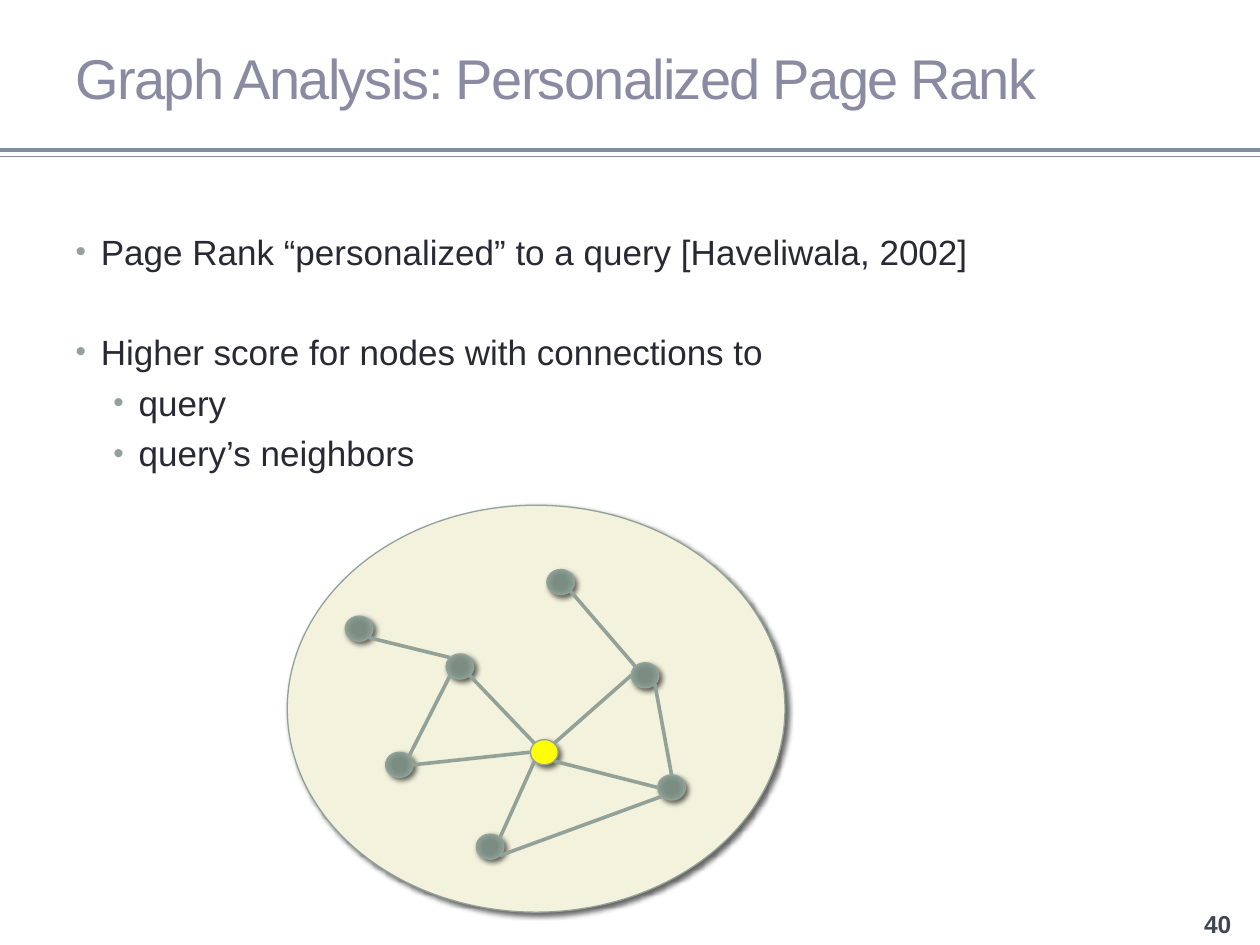
from math import cos, radians, sin

from lxml.etree import SubElement
from pptx import Presentation
from pptx.dml.color import RGBColor
from pptx.enum.shapes import MSO_CONNECTOR as Line, MSO_SHAPE as Shape
from pptx.enum.text import MSO_ANCHOR as Anchor, MSO_AUTO_SIZE as Fit, PP_ALIGN as Align
from pptx.oxml import parse_xml
from pptx.oxml.ns import nsdecls, qn
from pptx.util import Inches, Pt

RULE = RGBColor(0x80, 0x8D, 0xA0)
TITLE = RGBColor(0x8A, 0x8A, 0xA3)
INK = RGBColor(0x29, 0x29, 0x34)
SAGE = RGBColor(0x93, 0xA2, 0x99)
CREAM = RGBColor(0xF3, 0xF2, 0xDC)
YELLOW = RGBColor(0xFF, 0xFF, 0x00)
NUMBER = RGBColor(0x3E, 0x46, 0x52)
SHADES = [(0, "7B8E82"), (34, "7B8D83"), (70, "8A9E92"), (100, "93A299")]

NODE_W, NODE_H = 0.22, 0.2
# Clockwise angles of the joints on a node's rim
RIM = {"E": 0, "SE": 45, "S": 90, "SW": 135, "W": 180, "NW": 225, "N": 270, "NE": 315}


def write(para, text, size=20, color=INK, bold=False, space=0, font="Arial"):
    run = para.add_run()
    run.text = text
    run.font.name = font
    run.font.size = Pt(size)
    run.font.bold = bold
    run.font.color.rgb = color
    if space:
        run.font._element.set("spc", str(space * 100))


def bullet(para, left, hang=0.2):
    props = para._p.get_or_add_pPr()
    props.set("marL", str(Inches(left)))
    props.set("indent", str(-Inches(hang)))
    tint = SubElement(props, qn("a:buClr"))
    SubElement(tint, qn("a:srgbClr")).set("val", str(SAGE))
    SubElement(props, qn("a:buSzPct")).set("val", "85000")
    SubElement(props, qn("a:buFont")).set("typeface", "Arial")
    SubElement(props, qn("a:buChar")).set("char", "•")


def shade(shape):
    stops = "".join(f'<a:gs pos="{pos * 1000}"><a:srgbClr val="{tone}"/></a:gs>'
                    for pos, tone in SHADES)
    fill = parse_xml(
        f'<a:gradFill {nsdecls("a")} rotWithShape="1"><a:gsLst>{stops}</a:gsLst>'
        '<a:path path="circle"><a:fillToRect l="50000" t="50000" r="50000" b="50000"/>'
        '</a:path></a:gradFill>')
    shape._element.spPr.find(qn("a:prstGeom")).addnext(fill)


def shadow(shape):
    shape._element.spPr.append(parse_xml(
        f'<a:effectLst {nsdecls("a")}><a:outerShdw blurRad="{Pt(3)}" dist="{Pt(2)}" '
        'dir="2700000" algn="tl" rotWithShape="0"><a:srgbClr val="000000">'
        '<a:alpha val="60000"/></a:srgbClr></a:outerShdw></a:effectLst>'))


def joint(node, side):
    """Point where an edge meets the rim of a node."""
    left, top = node
    turn = radians(RIM[side])
    return (left + NODE_W / 2 * (1 + cos(turn)), top + NODE_H / 2 * (1 + sin(turn)))


class Page:
    def __init__(self, slide):
        self.slide = slide
        self.shapes = slide.shapes

    def frame(self, shape, box, anchor=Anchor.TOP):
        shape.left, shape.top, shape.width, shape.height = map(Inches, box)
        text = shape.text_frame
        text.word_wrap = True
        text.auto_size = Fit.NONE
        text.vertical_anchor = anchor
        return text

    def title(self, text, box):
        para = self.frame(self.shapes.title, box, Anchor.MIDDLE).paragraphs[0]
        para.alignment = Align.LEFT
        write(para, text, size=32, color=TITLE, space=-1)

    def body(self, items, box):
        text = self.frame(self.slide.placeholders[1], box)
        text.margin_top = Inches(0.08)
        for i, (words, level, gap) in enumerate(items):
            para = text.add_paragraph() if i else text.paragraphs[0]
            para.level = level
            para.space_before = Pt(gap)
            bullet(para, 0.2 + 0.3 * level)
            write(para, words)

    def label(self, text, box, **look):
        area = self.shapes.add_textbox(0, 0, 0, 0)
        para = self.frame(area, box, Anchor.MIDDLE).paragraphs[0]
        para.alignment = Align.CENTER
        write(para, text, **look)

    def line(self, start, end, color=SAGE, width=2.08, group=None):
        shapes = group.shapes if group else self.shapes
        line = shapes.add_connector(Line.STRAIGHT, *map(Inches, (*start, *end)))
        line.line.color.rgb = color
        line.line.width = Pt(width)
        SubElement(line._element.spPr, qn("a:effectLst"))

    def oval(self, box, group, fill=None):
        oval = group.shapes.add_shape(Shape.OVAL, *map(Inches, box))
        if fill is None:
            shade(oval)
        else:
            oval.fill.solid()
            oval.fill.fore_color.rgb = fill
        oval.line.color.rgb = SAGE
        oval.line.width = Pt(0.75)
        shadow(oval)


def main():
    deck = Presentation()
    deck.slide_width, deck.slide_height = Inches(10), Inches(7.5)
    page = Page(deck.slides.add_slide(deck.slide_layouts[1]))

    # Header rules
    for y, width in ((1.19, 2.08), (1.24, 0.75)):
        page.line((0, y), (10, y), color=RULE, width=width)

    # Title and list: words, level, space before
    page.title("Graph Analysis: Personalized Page Rank", (0.5, 0.07, 9, 1.08))
    page.body([
        ("Page Rank “personalized” to a query [Haveliwala, 2002]", 0, 0),
        ("Higher score for nodes with connections to", 0, 33),
        ("query", 1, 5),
        ("query’s neighbors", 1, 5),
    ], (0.5, 1.75, 9, 5.33))

    # Graph nodes
    graph = page.shapes.add_group_shape()
    page.oval((2.28, 4.01, 3.95, 3.23), graph, fill=CREAM)
    nodes = {
        "far": (2.74, 4.89), "top": (4.34, 4.52), "left": (3.54, 5.19),
        "low": (3.06, 5.97), "query": (4.21, 5.87), "right": (5.01, 5.26),
        "east": (5.22, 6.15), "base": (3.78, 6.62),
    }
    for name, spot in nodes.items():
        page.oval((*spot, NODE_W, NODE_H), graph, fill=YELLOW if name == "query" else None)

    # Graph edges
    edges = [
        ("low", "NE", "left", "SW"), ("low", "E", "query", "W"),
        ("base", "NE", "query", "SW"), ("query", "NE", "right", "W"),
        ("far", "SE", "left", "NW"), ("left", "SE", "query", "NW"),
        ("query", "SE", "east", "W"), ("base", "SE", "east", "SW"),
        ("top", "SE", "right", "NW"), ("right", "SE", "east", "N"),
    ]
    for a, out, b, into in edges:
        page.line(joint(nodes[a], out), joint(nodes[b], into), group=graph)

    # Page number
    page.label("40", (9.33, 7.15, 0.67, 0.36), size=14, color=NUMBER, bold=True)
    deck.save("out.pptx")


if __name__ == "__main__":
    main()
